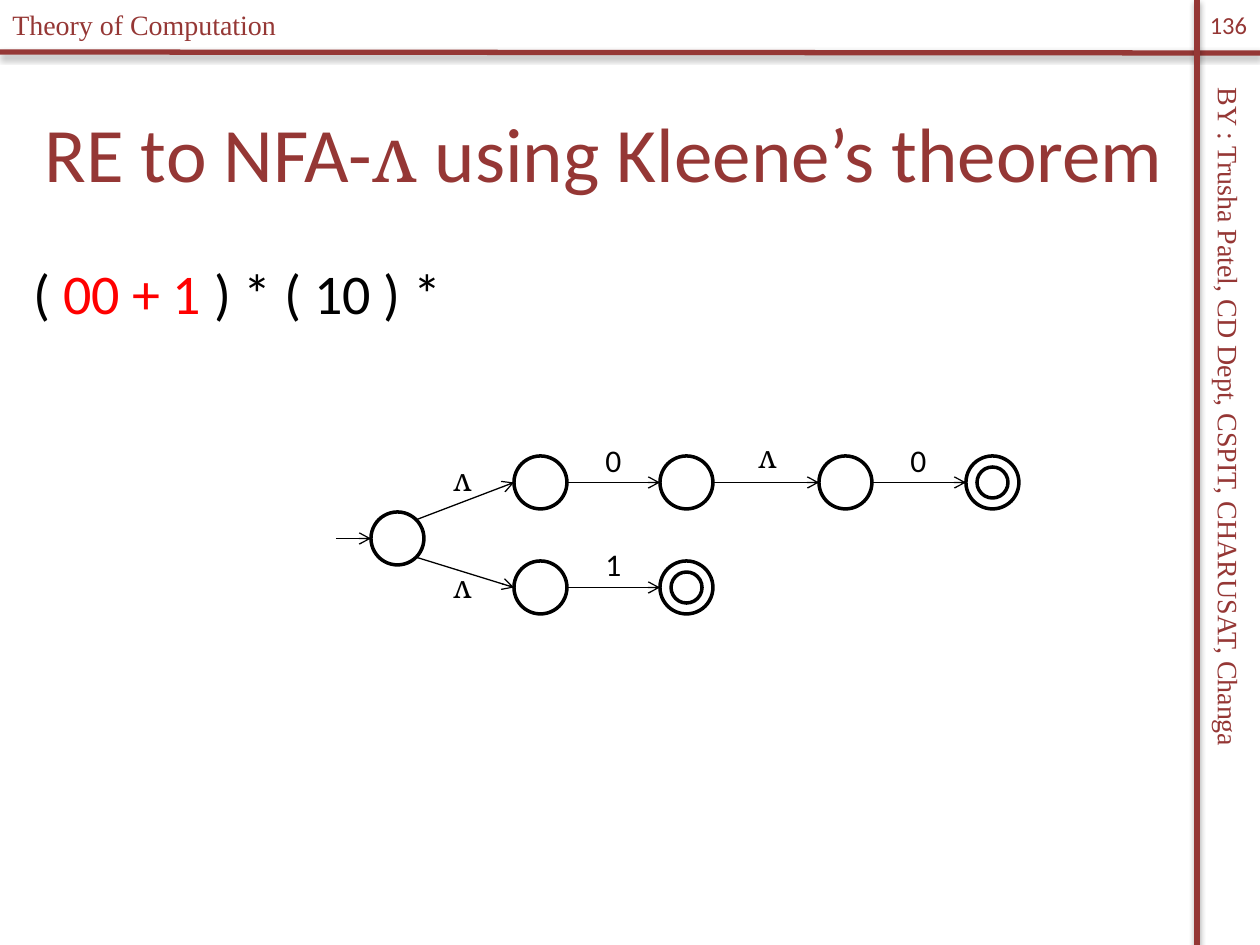
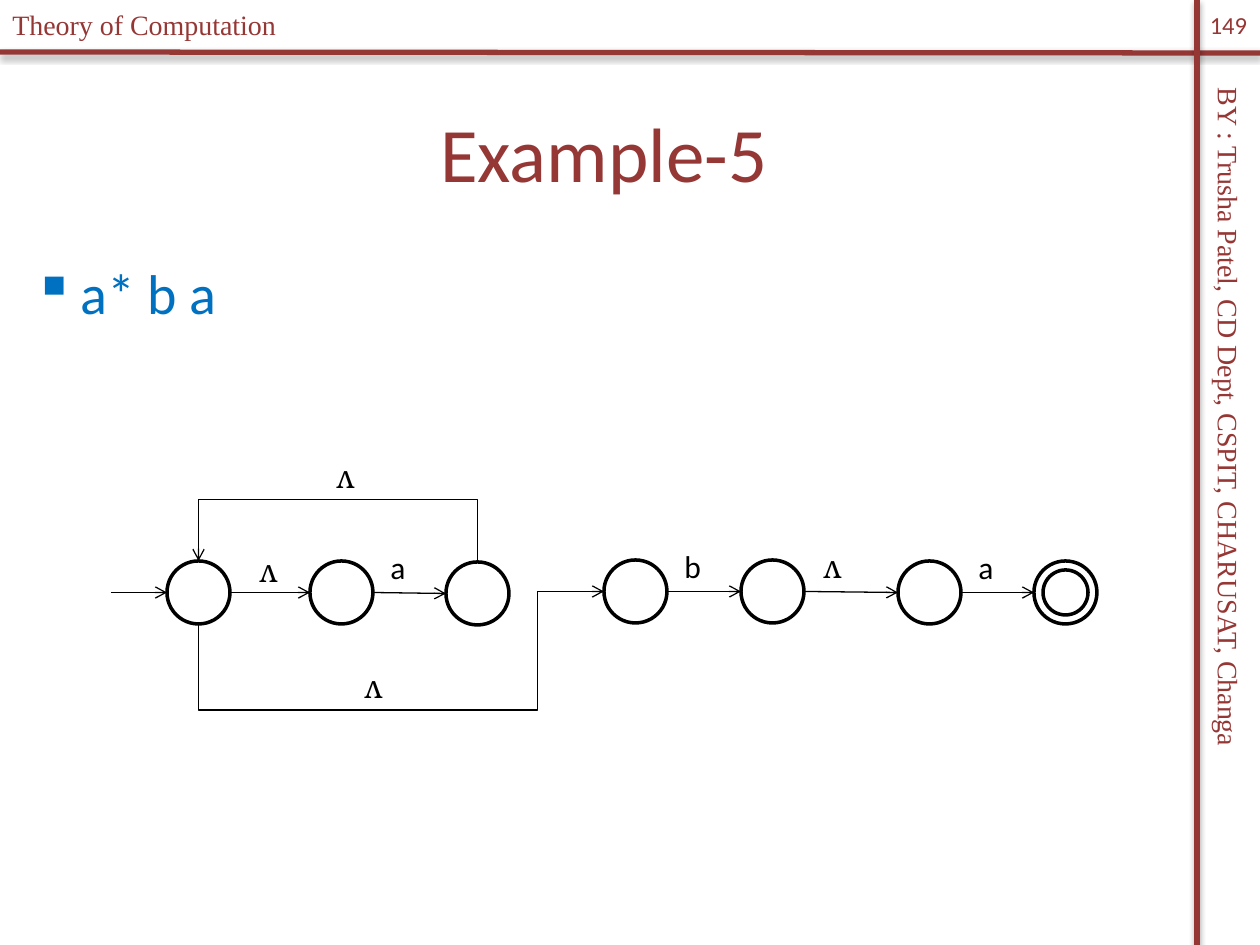
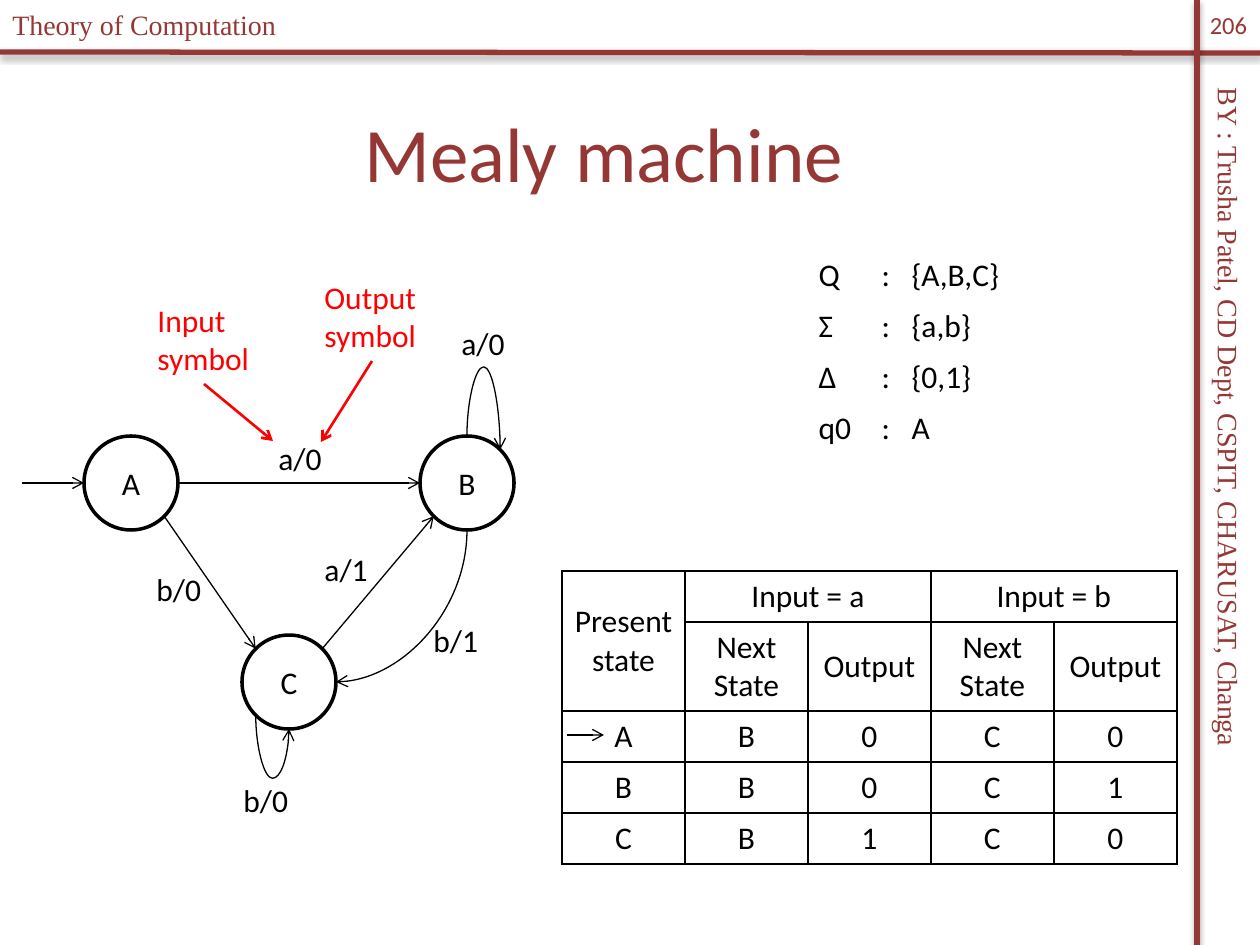
import math
from dataclasses import dataclass
from enum import IntEnum

import lxml.etree
import pptx
import pptx.dml.color
import pptx.enum.shapes
import pptx.enum.text
import pptx.oxml.ns
import pptx.shapes.autoshape
import pptx.shapes.connector
import pptx.slide
import pptx.text.text
import pptx.util

# Shared look
SCALE = 914400 / 126  # EMU in one px
MAROON, BLACK, WHITE, RED, BLUE = "953735", "000000", "FFFFFF", "FF0000", "0070C0"
SANS, SERIF, ROMAN = "Calibri", "Cambria", "Times New Roman"
LAMBDA = "ʌ"

Shape = pptx.shapes.autoshape.Shape
Connector = pptx.shapes.connector.Connector
Page = pptx.slide.Slide
Paragraph = pptx.text.text._Paragraph
Point = tuple[int, int]
Kind = pptx.enum.shapes.MSO_CONNECTOR
Align = pptx.enum.text.PP_ALIGN
Anchor = pptx.enum.text.MSO_ANCHOR
qn = pptx.oxml.ns.qn


class Site(IntEnum):
    """Connection sites of an ellipse, counterclockwise."""
    TOP = 0
    TOP_LEFT = 1
    LEFT = 2
    BOTTOM_LEFT = 3
    BOTTOM = 4
    BOTTOM_RIGHT = 5
    RIGHT = 6
    TOP_RIGHT = 7


@dataclass(frozen=True)
class Span:
    text: str
    font: str = SANS
    color: str = BLACK


@dataclass(frozen=True)
class State:
    name: str
    left: int
    top: int
    inner: int = 0  # diameter of the ring of an accepting state


@dataclass(frozen=True)
class Edge:
    begin: str
    end: str
    begin_site: Site = Site.RIGHT
    end_site: Site = Site.LEFT


@dataclass(frozen=True)
class Route(Edge):
    """A bent or curved edge; bends are px along the height, then the width."""
    preset: str = ""
    turn: int = 0
    flips: str = ""
    bends: tuple[int, ...] = ()


@dataclass(frozen=True)
class Label:
    text: str
    left: int
    top: int


@dataclass(frozen=True)
class Note:
    text: str
    left: int
    top: int
    begin: Point
    end: Point


@dataclass(frozen=True)
class Cell:
    text: str
    row: int
    column: int
    rows: int = 1
    columns: int = 1


def px(length: float) -> int:
    return round(length * SCALE)


def rgb(color: str) -> pptx.dml.color.RGBColor:
    return pptx.dml.color.RGBColor.from_string(color)


def add_xml(parent, tag: str, **attributes):
    return lxml.etree.SubElement(parent, qn(tag), **attributes)


# Text
def set_font(font: pptx.text.text.Font, size: int, name: str, color: str) -> None:
    font.size = pptx.util.Pt(size)
    font.name = name
    font.color.rgb = rgb(color)


def add_text(page: Page, text: str, at: tuple[int, int, int, int], size: int = 18,
             name: str = SANS, color: str = BLACK) -> Shape:
    """Add text that stays on its own lines."""
    box = page.shapes.add_textbox(*map(px, at))
    box.text_frame.word_wrap = False
    box.text_frame.auto_size = pptx.enum.text.MSO_AUTO_SIZE.SHAPE_TO_FIT_TEXT
    box.text_frame.text = text
    for para in box.text_frame.paragraphs:
        set_font(para.font, size, name, color)
    return box


def add_spans(page: Page, spans: list[Span], at: tuple[int, int, int, int],
              size: int) -> Shape:
    """Add one wrapped paragraph made of differing spans."""
    box = page.shapes.add_textbox(*map(px, at))
    box.text_frame.word_wrap = True
    para = box.text_frame.paragraphs[0]
    for span in spans:
        run = para.add_run()
        run.text = span.text
        set_font(run.font, size, span.font, span.color)
    return box


def add_title(page: Page, spans: list[Span]) -> None:
    box = add_spans(page, spans, (21, 73, 1166, 158), 44)
    box.text_frame.vertical_anchor = Anchor.MIDDLE
    box.text_frame.paragraphs[0].alignment = Align.CENTER


def add_body(page: Page, spans: list[Span]) -> Paragraph:
    para = add_spans(page, spans, (21, 252, 1166, 662), 32).text_frame.paragraphs[0]
    para.space_before = pptx.util.Pt(6.4)
    return para


def add_bullet(para: Paragraph, mark: str, indent: int) -> None:
    properties = para._p.get_or_add_pPr()
    properties.set("marL", str(px(indent)))
    properties.set("indent", str(-px(indent)))
    add_xml(properties, "a:buChar", char=mark)


# Lines and arrows
def add_line(page: Page, begin: Point, end: Point, color: str = BLACK,
             width: float = 0.75, arrow: bool = True,
             kind: Kind = Kind.STRAIGHT) -> Connector:
    """Add a connector between two points in EMU."""
    line = page.shapes.add_connector(kind, *begin, *end)
    line.line.color.rgb = rgb(color)
    line.line.width = pptx.util.Pt(width)
    if arrow:
        add_xml(line.line._get_or_add_ln(), "a:tailEnd", type="arrow")
    add_xml(line.element.spPr, "a:effectLst")
    return line


def add_px_line(page: Page, begin: Point, end: Point, color: str = BLACK,
                width: float = 0.75, arrow: bool = True) -> Connector:
    return add_line(page, (px(begin[0]), px(begin[1])), (px(end[0]), px(end[1])),
                    color, width, arrow)


def site_point(circle: Shape, site: Site) -> Point:
    angle = math.radians(90 + 45 * site)
    radius = circle.width / 2
    return (round(circle.left + radius * (1 + math.cos(angle))),
            round(circle.top + radius * (1 - math.sin(angle))))


def add_route(page: Page, route: Route, begin: Point, end: Point) -> Connector:
    """Add a connector turned a quarter, so that its width runs down the page."""
    width, height = abs(end[1] - begin[1]), abs(end[0] - begin[0])
    left = (begin[0] + end[0] - width) // 2
    top = (begin[1] + end[1] - height) // 2
    kind = Kind.CURVE if route.preset.startswith("curved") else Kind.ELBOW
    line = add_line(page, (left, top), (left + width, top + height), kind=kind)
    frame = line.element.spPr.find(qn("a:xfrm"))
    frame.set("rot", str(route.turn * 60000))
    for flip in route.flips:
        frame.set(f"flip{flip}", "1")
    geometry = line.element.spPr.find(qn("a:prstGeom"))
    geometry.set("prst", route.preset)
    guides = geometry.find(qn("a:avLst"))
    for number, (bend, extent) in enumerate(zip(route.bends, (width, height)), 1):
        value = round(px(bend) / extent * 100000)
        add_xml(guides, "a:gd", name=f"adj{number}", fmla=f"val {value}")
    return line


def add_edge(page: Page, edge: Edge, circles: dict[str, Shape]) -> None:
    first, last = circles[edge.begin], circles[edge.end]
    begin, end = site_point(first, edge.begin_site), site_point(last, edge.end_site)
    if isinstance(edge, Route):
        line = add_route(page, edge, begin, end)
    else:
        line = add_line(page, begin, end)
    joints = line.element.nvCxnSpPr.cNvCxnSpPr
    add_xml(joints, "a:stCxn", id=str(first.shape_id), idx=str(int(edge.begin_site)))
    add_xml(joints, "a:endCxn", id=str(last.shape_id), idx=str(int(edge.end_site)))


# Automata
def add_circle(page: Page, left: int, top: int, size: int) -> Shape:
    circle = page.shapes.add_shape(pptx.enum.shapes.MSO_SHAPE.OVAL,
                                   px(left), px(top), px(size), px(size))
    circle.shadow.inherit = False
    circle.fill.solid()
    circle.fill.fore_color.rgb = rgb(WHITE)
    circle.line.color.rgb = rgb(BLACK)
    circle.line.width = pptx.util.Pt(2)
    return circle


def add_automaton(page: Page, states: list[State], size: int, lead: int,
                  edges: list[Edge], labels: list[Label], named: bool = False) -> None:
    """Draw states and edges; an arrow of length lead enters the first state."""
    circles: dict[str, Shape] = {}
    for state in states:
        circle = circles[state.name] = add_circle(page, state.left, state.top, size)
        if state.inner:
            gap = (size - state.inner) // 2
            add_circle(page, state.left + gap, state.top + gap, state.inner)
        if named:
            circle.text_frame.text = state.name
            circle.text_frame.vertical_anchor = Anchor.MIDDLE
            para = circle.text_frame.paragraphs[0]
            para.alignment = Align.CENTER
            set_font(para.font, 18, SANS, BLACK)
    x, y = site_point(circles[states[0].name], Site.LEFT)
    add_line(page, (x - px(lead), y), (x, y))
    for edge in edges:
        add_edge(page, edge, circles)
    for label in labels:
        width = 42 if len(label.text) == 1 else 70
        add_text(page, label.text, (label.left, label.top, width, 51),
                 name=SERIF if label.text == LAMBDA else SANS)


# Tables
def add_grid(page: Page, left: int, top: int, columns: list[int], rows: list[int],
             cells: list[Cell], ruled: bool) -> None:
    grid = page.shapes.add_table(len(rows), len(columns), px(left), px(top),
                                 px(sum(columns)), px(sum(rows))).table
    grid.first_row = grid.horz_banding = False
    for column, width in zip(grid.columns, columns):
        column.width = px(width)
    for row, height in zip(grid.rows, rows):
        row.height = px(height)
    for item in cells:
        cell = grid.cell(item.row, item.column)
        if item.rows * item.columns > 1:
            cell.merge(grid.cell(item.row + item.rows - 1,
                                 item.column + item.columns - 1))
        cell.text = item.text
        for para in cell.text_frame.paragraphs:
            set_font(para.font, 18, SANS, BLACK)
            if ruled:
                para.alignment = Align.CENTER
            else:
                stops = add_xml(para._p.get_or_add_pPr(), "a:tabLst")
                para._p.pPr.insert(0, stops)
                add_xml(stops, "a:tab", pos=str(px(30)), algn="l")
        if ruled:
            cell.vertical_anchor = Anchor.MIDDLE
    for cell in grid.iter_cells():
        if ruled:
            for side in ("a:lnL", "a:lnR", "a:lnT", "a:lnB"):
                border = add_xml(cell._tc.get_or_add_tcPr(), side, w="12700")
                add_xml(add_xml(border, "a:solidFill"), "a:srgbClr", val=BLACK)
        cell.fill.background()


# Page frame: crossing rules, running heads and page number
def add_page(deck, number: int, title: list[Span]) -> Page:
    page = deck.slides.add_slide(deck.slide_layouts[6])
    for begin, end in (((0, 52), (1260, 53)), ((1197, 0), (1197, 945))):
        rule = add_px_line(page, begin, end, MAROON, 3, arrow=False)
        effects = rule.element.spPr.find(qn("a:effectLst"))
        shadow = add_xml(effects, "a:outerShdw", blurRad="40000", dist="23000",
                         dir="5400000", rotWithShape="0")
        add_xml(add_xml(shadow, "a:srgbClr", val=BLACK), "a:alpha", val="35000")
    author = add_text(page, "BY : Trusha Patel, CD Dept, CSPIT, CHARUSAT, Changa",
                      (824, 456, 809, 47), 16, ROMAN, MAROON)
    author.rotation = 90
    add_text(page, "Theory of Computation", (0, 1, 415, 47), 16, ROMAN, MAROON)
    add_title(page, title)
    folio = add_text(page, str(number), (1197, 0, 63, 50), 14, SANS, MAROON)
    folio.text_frame.auto_size = pptx.enum.text.MSO_AUTO_SIZE.NONE
    folio.text_frame.vertical_anchor = Anchor.MIDDLE
    folio.text_frame.paragraphs[0].alignment = Align.CENTER
    return page


# Slides
def build_kleene(deck) -> None:
    page = add_page(deck, 136, [Span("RE to NFA-", color=MAROON),
                                Span(LAMBDA, SERIF, MAROON),
                                Span(" using Kleene’s theorem", color=MAROON)])
    add_body(page, [Span("( "), Span("00 + 1 ", color=RED), Span(") * ( 10 ) *")])
    states = [State("start", 371, 512), State("zero 1", 514, 456),
              State("zero 2", 660, 456), State("zero 3", 819, 456),
              State("zero 4", 966, 456, 31), State("one 1", 514, 561),
              State("one 2", 660, 561, 31)]
    edges = [Edge("start", "zero 1", Site.TOP_RIGHT), Edge("zero 1", "zero 2"),
             Edge("zero 2", "zero 3"), Edge("zero 3", "zero 4"),
             Edge("start", "one 1", Site.BOTTOM_RIGHT), Edge("one 1", "one 2")]
    labels = [Label("0", 593, 435), Label("0", 898, 435), Label("1", 593, 539),
              Label(LAMBDA, 746, 431), Label(LAMBDA, 441, 454), Label(LAMBDA, 441, 561)]
    add_automaton(page, states, 53, 35, edges, labels)


def build_example(deck) -> None:
    page = add_page(deck, 149, [Span("Example-5", color=MAROON)])
    add_bullet(add_body(page, [Span("a* b a", color=BLUE)]), "▪", 47)
    states = [State("loop 1", 167, 561), State("loop 2", 310, 561),
              State("loop 3", 446, 562), State("b 1", 604, 560),
              State("b 2", 741, 560), State("a 1", 898, 561), State("a 2", 1034, 561, 45)]
    edges = [Edge("loop 1", "loop 2"), Edge("loop 2", "loop 3"),
             Route("loop 3", "loop 1", Site.TOP, Site.TOP, "bentConnector3", 270, "V", (63,)),
             Route("loop 1", "b 1", Site.BOTTOM, Site.LEFT, "bentConnector4", 90, "HV",
                   (-86, 339)),
             Edge("b 1", "b 2"), Edge("b 2", "a 1"), Edge("a 1", "a 2")]
    labels = [Label("a", 378, 542), Label("b", 672, 541), Label("a", 966, 542),
              Label(LAMBDA, 324, 451), Label(LAMBDA, 247, 545),
              Label(LAMBDA, 352, 661), Label(LAMBDA, 811, 541)]
    add_automaton(page, states, 63, 56, edges, labels)


def build_mealy(deck) -> None:
    page = add_page(deck, 206, [Span("Mealy machine", color=MAROON)])
    states = [State("A", 84, 436), State("B", 420, 436), State("C", 242, 635)]
    edges = [Edge("A", "B"), Edge("A", "C", Site.BOTTOM_RIGHT, Site.TOP_LEFT),
             Edge("C", "B", Site.TOP_RIGHT, Site.BOTTOM_LEFT),
             Route("B", "C", Site.BOTTOM, Site.RIGHT, "curvedConnector2", 90),
             Route("B", "B", Site.TOP, Site.TOP_RIGHT, "curvedConnector3", 270, "H", (-69,)),
             Route("C", "C", Site.BOTTOM_LEFT, Site.BOTTOM, "curvedConnector3", 270, "H",
                   (63,))]
    labels = [Label("a/0", 266, 433), Label("b/0", 144, 564), Label("b/0", 231, 775),
              Label("b/1", 421, 615), Label("a/1", 312, 544), Label("a/0", 449, 318)]
    add_automaton(page, states, 94, 62, edges, labels, named=True)

    for note in (Note("Input\nsymbol", 145, 295, (204, 384), (273, 441)),
                 Note("Output\nsymbol", 312, 272, (372, 361), (321, 442))):
        add_px_line(page, note.begin, note.end, RED, 1.5)
        add_text(page, note.text, (note.left, note.top, 118, 89), color=RED)

    parts = [("Q", "{A,B,C}"), ("Σ", "{a,b}"), ("Δ", "{0,1}"), ("q0", "A")]
    definition = [Cell(text, row, column) for row, (symbol, value) in enumerate(parts)
                  for column, text in enumerate((symbol, f":\t{value}"))]
    add_grid(page, 806, 250, [63, 149], [51] * 4, definition, ruled=False)

    transitions = [Cell("Present state", 0, 0, rows=2)]
    for column, symbol in ((1, "a"), (3, "b")):
        transitions += [Cell(f"Input = {symbol}", 0, column, columns=2),
                        Cell("Next\nState", 1, column), Cell("Output", 1, column + 1)]
    transitions += [Cell(text, row, column)
                    for row, values in enumerate(("AB0C0", "BB0C1", "CB1C0"), 2)
                    for column, text in enumerate(values)]
    add_grid(page, 562, 571, [123] * 5, [51, 89, 51, 51, 51], transitions, ruled=True)
    add_px_line(page, (567, 735), (604, 735))


def main() -> None:
    deck = pptx.Presentation()
    deck.slide_width, deck.slide_height = px(1260), px(945)
    for build in (build_kleene, build_example, build_mealy):
        build(deck)
    deck.save("out.pptx")


if __name__ == "__main__":
    main()
